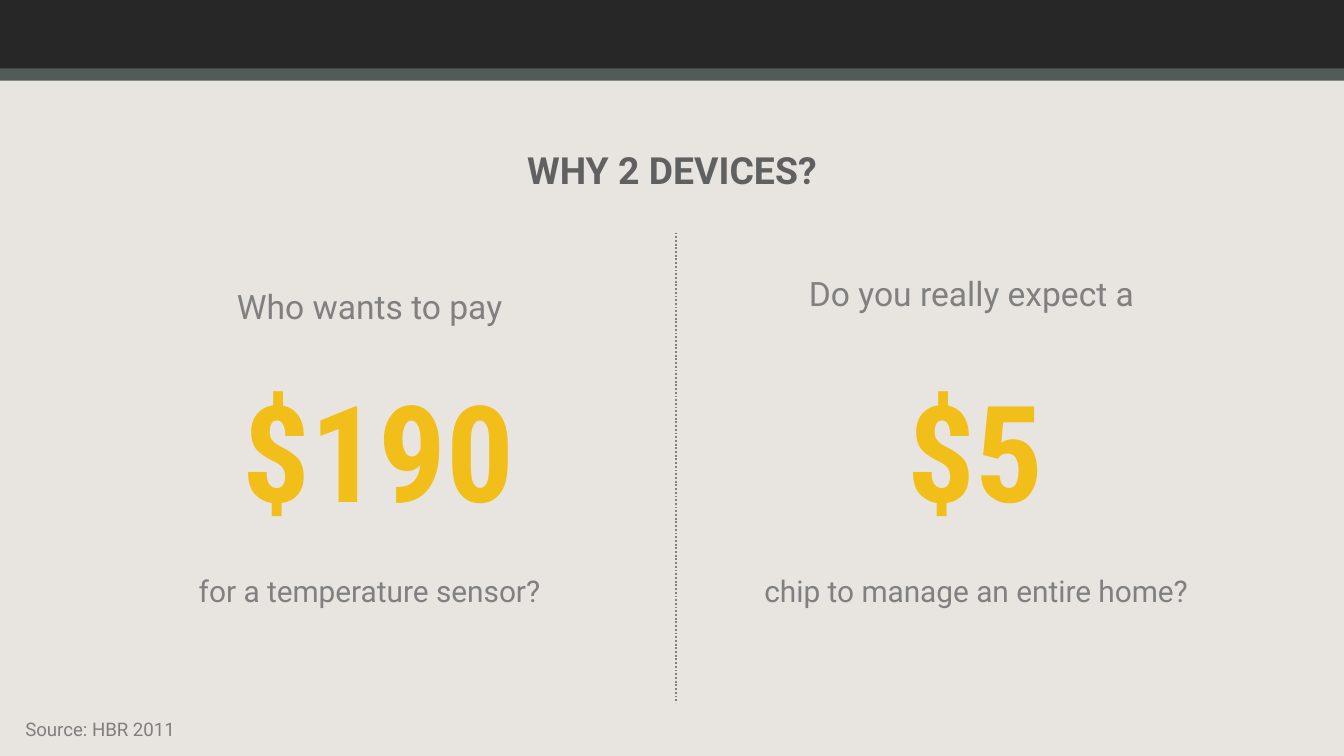
from lxml import etree
from pptx import Presentation
from pptx.dml.color import RGBColor
from pptx.enum.dml import MSO_LINE
from pptx.enum.shapes import MSO_CONNECTOR, MSO_SHAPE
from pptx.enum.text import MSO_ANCHOR, PP_ALIGN
from pptx.oxml.ns import qn
from pptx.util import Pt

RECTANGLE = MSO_SHAPE.RECTANGLE
STRAIGHT = MSO_CONNECTOR.STRAIGHT
DOTTED = MSO_LINE.ROUND_DOT
TOP, MIDDLE = MSO_ANCHOR.TOP, MSO_ANCHOR.MIDDLE
LEFT, CENTER = PP_ALIGN.LEFT, PP_ALIGN.CENTER

PAPER = RGBColor(0xE8, 0xE5, 0xE0)
CHARCOAL = RGBColor(0x27, 0x27, 0x27)
SLATE = RGBColor(0x51, 0x5C, 0x59)
TITLE_GRAY = RGBColor(0x60, 0x60, 0x60)
TEXT_GRAY = RGBColor(0x80, 0x80, 0x80)
SOURCE_GRAY = RGBColor(0x7F, 0x7F, 0x7F)
GOLD = RGBColor(0xF2, 0xBE, 0x1A)

WIDTH, HEIGHT = 720, 405


class SlideBuilder:
    body_font = "Roboto"
    figure_font = "Roboto Condensed"

    def __init__(self, slide):
        self.slide = slide

    def background(self, color):
        fill = self.slide.background.fill
        fill.solid()
        fill.fore_color.rgb = color

    def bar(self, left, top, width, height, color):
        shape = self.slide.shapes.add_shape(
            RECTANGLE, Pt(left), Pt(top), Pt(width), Pt(height))
        shape.shadow.inherit = False
        shape.fill.solid()
        shape.fill.fore_color.rgb = color
        shape.line.fill.background()

    def text(self, text, box, size, color=TEXT_GRAY, font=body_font,
             bold=False, align=CENTER, anchor=TOP):
        shape = self.slide.shapes.add_textbox(*(Pt(value) for value in box))
        text_frame = shape.text_frame
        text_frame.word_wrap = True
        text_frame.vertical_anchor = anchor
        text_frame.text = text
        paragraph = text_frame.paragraphs[0]
        paragraph.alignment = align
        run_font = paragraph.runs[0].font
        run_font.name = font
        run_font.size = Pt(size)
        run_font.bold = bold
        run_font.color.rgb = color

    def figure(self, text, box):
        self.text(text, box, 72, GOLD, self.figure_font, bold=True)

    def dotted_line(self, x, top, bottom):
        connector = self.slide.shapes.add_connector(
            STRAIGHT, Pt(x), Pt(top), Pt(x), Pt(bottom))
        connector.line.color.rgb = TEXT_GRAY
        connector.line.width = Pt(1)
        connector.line.dash_style = DOTTED
        properties = connector._element.spPr
        etree.SubElement(properties, qn("a:effectLst"))


def main():
    presentation = Presentation()
    presentation.slide_width = Pt(WIDTH)
    presentation.slide_height = Pt(HEIGHT)
    slide = presentation.slides.add_slide(presentation.slide_layouts[6])
    builder = SlideBuilder(slide)
    builder.background(PAPER)

    # Header bars, bleeding slightly past both edges
    bleed = 3.6
    for top, height, color in ((0.7, 42.5, SLATE), (0, 36.7, CHARCOAL)):
        builder.bar(-bleed, top, WIDTH + 2 * bleed, height, color)

    # Title
    builder.text("WHY 2 DEVICES?", (18, 64, 684, 54), 20, TITLE_GRAY,
                 bold=True, anchor=MIDDLE)

    # Left question
    builder.text("Who wants to pay", (92.9, 149.8, 210.2, 29), 18)
    builder.figure("$190", (73.4, 193.7, 259.2, 94.3))
    builder.text("for a temperature sensor?", (92.9, 303.1, 210.2, 26.6), 16)

    # Divider
    builder.dotted_line(362.2, 124.6, 376.6)

    # Right question
    builder.text("Do you really expect a ", (417.6, 142.6, 210.2, 29), 18)
    builder.figure("$5", (435.6, 193.7, 174.2, 94.3))
    builder.text("chip to manage an entire home?",
                 (401, 303.1, 244.1, 26.6), 16)

    # Source
    builder.text("Source: HBR 2011", (6.5, 376.6, 259.2, 28.4), 10,
                 SOURCE_GRAY, align=LEFT, anchor=MIDDLE)

    presentation.save("out.pptx")


if __name__ == "__main__":
    main()
